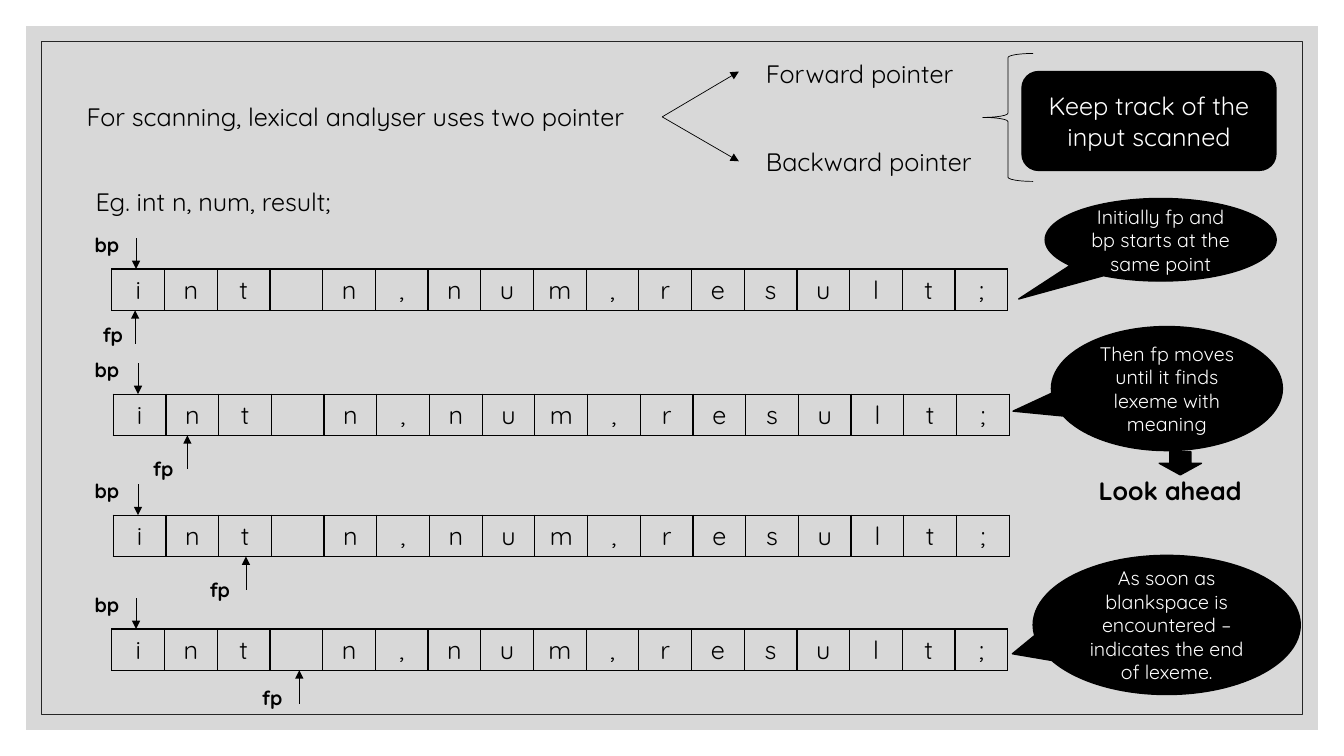
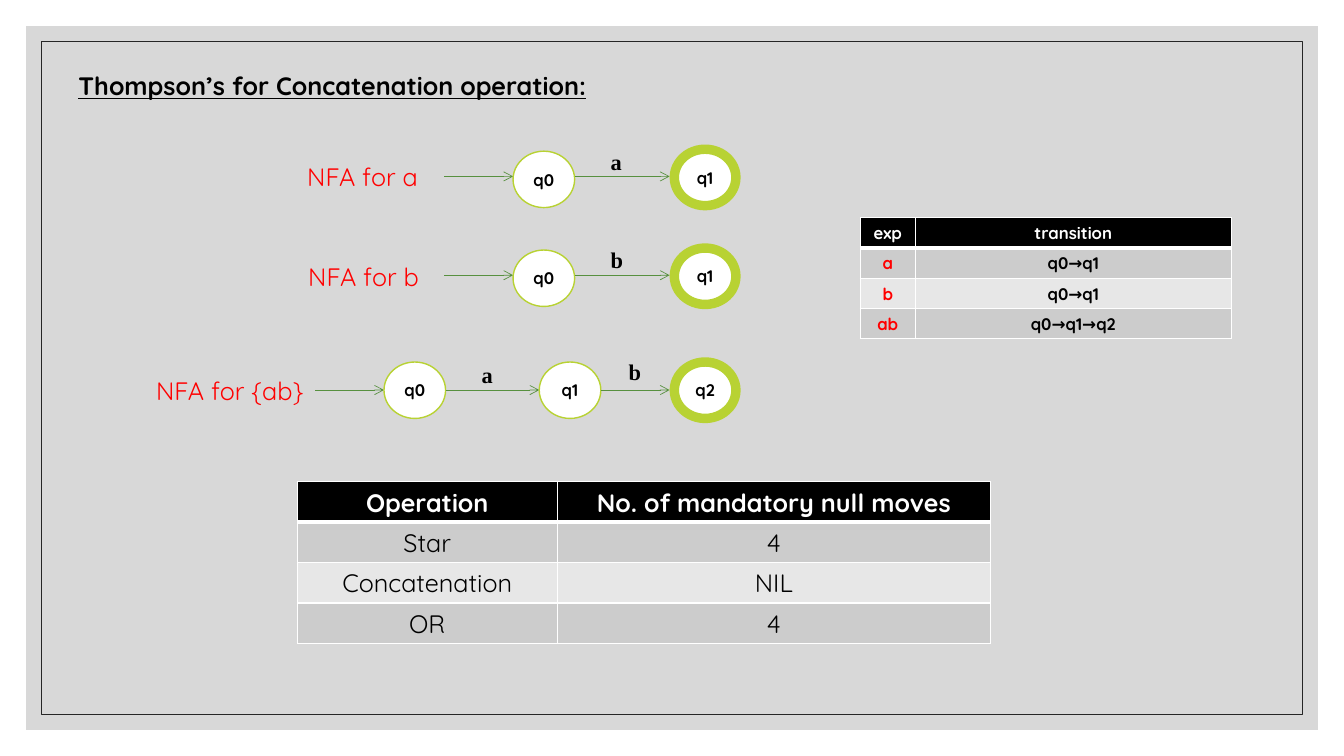
from pptx import Presentation
from pptx.dml.color import RGBColor
from pptx.enum.shapes import MSO_CONNECTOR, MSO_SHAPE
from pptx.enum.text import MSO_ANCHOR, MSO_AUTO_SIZE, PP_ALIGN
from pptx.oxml.ns import qn
from pptx.util import Pt
from lxml import etree

BLACK = RGBColor(0x00, 0x00, 0x00)
WHITE = RGBColor(0xFF, 0xFF, 0xFF)
GREY = RGBColor(0xBF, 0xBF, 0xBF)
DARK = RGBColor(0x26, 0x26, 0x26)
RED = RGBColor(0xFF, 0x00, 0x00)
LIME = RGBColor(0xB8, 0xD2, 0x33)
GREEN = RGBColor(0x57, 0x90, 0x3F)
BANDS = [RGBColor(0xCC, 0xCC, 0xCC), RGBColor(0xE7, 0xE7, 0xE7)]
FONT, SERIF = "Quicksand", "Times New Roman"
WIDE, HIGH = 960, 540

# Scanning slide: text, left, top, width, bold
NOTES = [
    ("For scanning, lexical analyser uses two pointer", 54.7, 69.1, 418.3, False),
    ("Forward pointer", 540, 38.2, 153.4, False),
    ("Backward pointer", 540, 100.8, 171.4, False),
    ("Eg. int n, num, result;", 61.2, 129.6, 193.7, False),
    ("Look ahead", 777.6, 336.2, 121, True),
]
FORK = (473, 83.5)
TIPS = [(527.8, 51.1), (527.8, 115.2)]
CODE = "int n,num,result;"
CELL, TALL = 37.65, 29.5
# tape left, tape top, bp arrow x, fp arrow x, fp label left, fp label drop
TAPES = [
    (79.9, 192.2, 97.2, 96.5, 66.2, 34.6),
    (80.9, 281.5, 98.6, 133.9, 102.2, 41),
    (80.9, 368, 98.6, 175.7, 142.6, 41),
    (79.9, 449.3, 97.2, 213.8, 180, 37.4),
]
# text, left, top, width, height, tip of the callout
CALLS = [
    ("Initially fp and bp starts at the same point",
     746.6, 141.8, 165, 59, (-0.615, 0.717)),
    ("Then fp moves until it finds lexeme with meaning",
     751, 233.3, 165, 88.6, (-0.666, 0.182)),
    ("As soon as blankspace is encountered – indicates the end of lexeme.",
     738, 396.7, 190.8, 99.4, (-0.578, 0.207)),
]

# Thompson slide
TITLE = "Thompson’s for Concatenation operation:"
BALL_W, BALL_H, LEAD, RING = 44, 40.3, 49, 3.4
# label, its left, top and width; arrow y; states (name, left, rise); letters
CHAINS = [
    ("NFA for a", 212.4, 111.6, 95.8, 126,
     [("q0", 366.5, 18), ("q1", 481.7, 19.4)], [("a", 429.1, 24)]),
    ("NFA for b", 213.1, 182.9, 95.8, 196.6,
     [("q0", 366.5, 18), ("q1", 481.7, 19.4)], [("b", 429.1, 24.5)]),
    ("NFA for {ab}", 104.4, 264.2, 121, 278.6,
     [("q0", 274.3, 20), ("q1", 385.2, 20), ("q2", 481.7, 20)],
     [("a", 337, 24), ("b", 442, 26)]),
]
MOVES = [("exp", "transition"), ("a", "q0→q1"), ("b", "q0→q1"),
         ("ab", "q0→q1→q2")]
NULLS = [("Operation", "No. of mandatory null moves"), ("Star", "4"),
         ("Concatenation", "NIL"), ("OR", "4")]


def pts(*nums):
    return [Pt(n) for n in nums]


def style(frame, words, size=18, color=BLACK, bold=False, align=None,
          face=FONT):
    frame.text = words
    para = frame.paragraphs[0]
    para.alignment = align
    for run in para.runs:
        font = run.font
        font.name, font.size, font.bold = face, Pt(size), bold
        font.color.rgb = color
    return para


def label(slide, words, x, y, w, h=29, wrap=False, **look):
    frame = slide.shapes.add_textbox(*pts(x, y, w, h)).text_frame
    frame.word_wrap = wrap
    frame.auto_size = MSO_AUTO_SIZE.SHAPE_TO_FIT_TEXT
    return style(frame, words, **look)


def shape(slide, kind, box, fill=None, line=None, width=1, adj=()):
    item = slide.shapes.add_shape(kind, *pts(*box))
    item.shadow.inherit = False
    if fill is None:
        item.fill.background()
    else:
        item.fill.solid()
        item.fill.fore_color.rgb = fill
    if line is None:
        item.line.fill.background()
    else:
        item.line.color.rgb = line
        item.line.width = Pt(width)
    for i, val in enumerate(adj):
        item.adjustments[i] = val
    return item


def fill_in(item, words, wrap=True, **look):
    frame = item.text_frame
    frame.word_wrap = wrap
    frame.vertical_anchor = MSO_ANCHOR.MIDDLE
    style(frame, words, align=PP_ALIGN.CENTER, **look)


def arrow(slide, start, end, color=BLACK, head="triangle"):
    item = slide.shapes.add_connector(MSO_CONNECTOR.STRAIGHT,
                                      *pts(*start, *end))
    item.line.color.rgb = color
    item.line.width = Pt(0.5)
    ln = item._element.spPr.find(qn("a:ln"))
    etree.SubElement(ln, qn("a:tailEnd"), type=head)
    etree.SubElement(item._element.spPr, qn("a:effectLst"))


def edge(cell, side, color, width):
    ln = etree.SubElement(cell._tc.get_or_add_tcPr(), qn("a:ln" + side),
                          w=str(Pt(width)))
    fill = etree.SubElement(ln, qn("a:solidFill"))
    etree.SubElement(fill, qn("a:srgbClr"), val=str(color))


def grid(slide, x, y, cols, tall, rows, look, border, rule=1):
    """Draw a table; look(row, col) gives fill and text style, rule the line under row 0."""
    tab = slide.shapes.add_table(len(rows), len(cols),
                                 *pts(x, y, sum(cols), tall * len(rows))).table
    tab.first_row = tab.horz_banding = False
    for c, wide in enumerate(cols):
        tab.columns[c].width = Pt(wide)
    for r, row in enumerate(rows):
        tab.rows[r].height = Pt(tall)
        for c, words in enumerate(row):
            cell = tab.cell(r, c)
            thick = {"T": rule if r == 1 else 1, "B": rule if r == 0 else 1}
            for side in "LRTB":
                edge(cell, side, border, thick.get(side, 1))
            fill, font = look(r, c)
            if fill is None:
                cell.fill.background()
            else:
                cell.fill.solid()
                cell.fill.fore_color.rgb = fill
            cell.vertical_anchor = MSO_ANCHOR.MIDDLE
            if words.strip():
                style(cell.text_frame, words, align=PP_ALIGN.CENTER, **font)


def banded(slide, x, y, cols, tall, rows, size, bold, first):
    def look(r, c):
        if r == 0:
            return BLACK, dict(size=size, color=WHITE, bold=True)
        color = first if c == 0 else BLACK
        return BANDS[(r - 1) % 2], dict(size=size, color=color, bold=bold)
    grid(slide, x, y, cols, tall, rows, look, WHITE, 3)


def frame_up(slide, layout):
    """Move a grey panel and a thin border into the layout both slides share."""
    for gap, fill, line in [(18.7, GREY, None), (29.5, None, DARK)]:
        box = (gap, gap, WIDE - 2 * gap, HIGH - 2 * gap)
        item = shape(slide, MSO_SHAPE.RECTANGLE, box, fill, line, 0.5)
        for tint in item._element.spPr.findall(qn("a:solidFill") + "/*"):
            etree.SubElement(tint, qn("a:alpha"), val="60000")
        layout.shapes._spTree.append(item._element)


def scan(slide):
    for words, x, y, w, bold in NOTES:
        label(slide, words, x, y, w, bold=bold)
    for tip in TIPS:
        arrow(slide, FORK, tip)
    shape(slide, MSO_SHAPE.LEFT_BRACE, (702, 38.2, 36, 91.4), None, BLACK,
          0.5, (0.083, 0.5))
    card = shape(slide, MSO_SHAPE.FLOWCHART_ALTERNATE_PROCESS,
                 (730, 51.1, 181.4, 70.6), BLACK, BLACK)
    fill_in(card, "Keep track of the input scanned", color=WHITE)
    for x, y, bp, fp, left, drop in TAPES:
        grid(slide, x, y, [CELL] * len(CODE), TALL, [CODE],
             lambda r, c: (None, {}), BLACK)
        arrow(slide, (bp, y - 22), (bp, y))
        arrow(slide, (fp, y + 53.3), (fp, y + TALL))
        for words, lx, ly in [("bp", 60.5, y - 29.3), ("fp", left, y + drop)]:
            label(slide, words, lx, ly, 33.5, 24.5, True, size=14, bold=True)
    for words, *box, tip in CALLS:
        call = shape(slide, MSO_SHAPE.OVAL_CALLOUT, box, BLACK, BLACK, 1, tip)
        fill_in(call, words, size=14, color=WHITE)
    shape(slide, MSO_SHAPE.DOWN_ARROW, (828, 322.6, 30.2, 16.6), BLACK, BLACK)


def concat(slide):
    head = label(slide, TITLE, 49, 46.8, 377.3, bold=True)
    head.runs[0].font.underline = True
    for words, lx, ly, lw, y, states, marks in CHAINS:
        label(slide, words, lx, ly, lw, color=RED)
        start = states[0][1] - LEAD
        for name, x, rise in states:
            last = name == states[-1][0]
            arrow(slide, (start, y), (x - RING * last, y), GREEN, "arrow")
            ball = shape(slide, MSO_SHAPE.OVAL, (x, y - rise, BALL_W, BALL_H),
                         WHITE, LIME, 6.75 if last else 1)
            fill_in(ball, name, wrap=False, size=12, bold=True)
            start = x + BALL_W
        for mark, x, rise in marks:
            label(slide, mark, x, y - rise, 24.5, 26.6, True, size=16,
                  bold=True, face=SERIF)
    banded(slide, 614.4, 155.5, [39.4, 225.8], 21.6, MOVES, 12, True, RED)
    banded(slide, 212.4, 344.2, [185.6, 309.6], 28.8, NULLS, 18, False, BLACK)


def main():
    deck = Presentation()
    deck.slide_width, deck.slide_height = pts(WIDE, HIGH)
    blank = deck.slide_layouts[6]
    first, second = [deck.slides.add_slide(blank) for _ in range(2)]
    frame_up(first, blank)
    scan(first)
    concat(second)
    deck.save("out.pptx")


if __name__ == "__main__":
    main()
